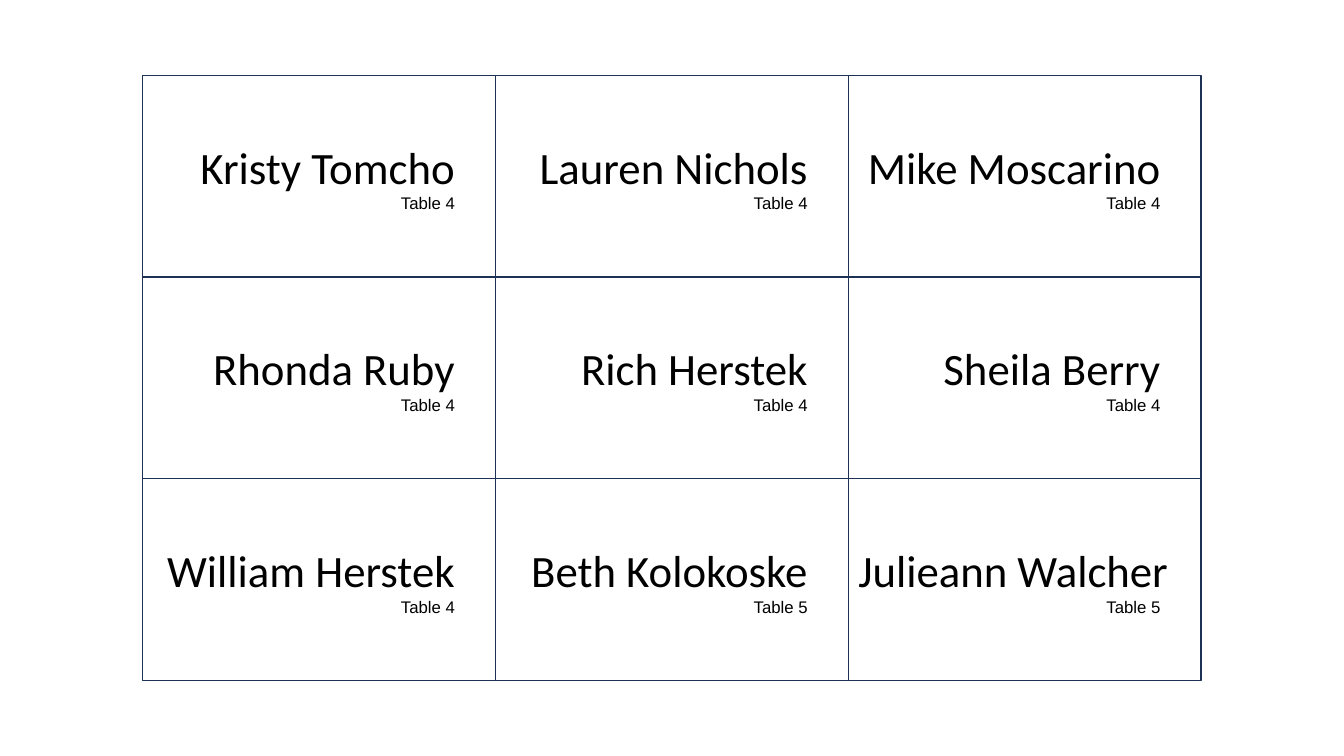
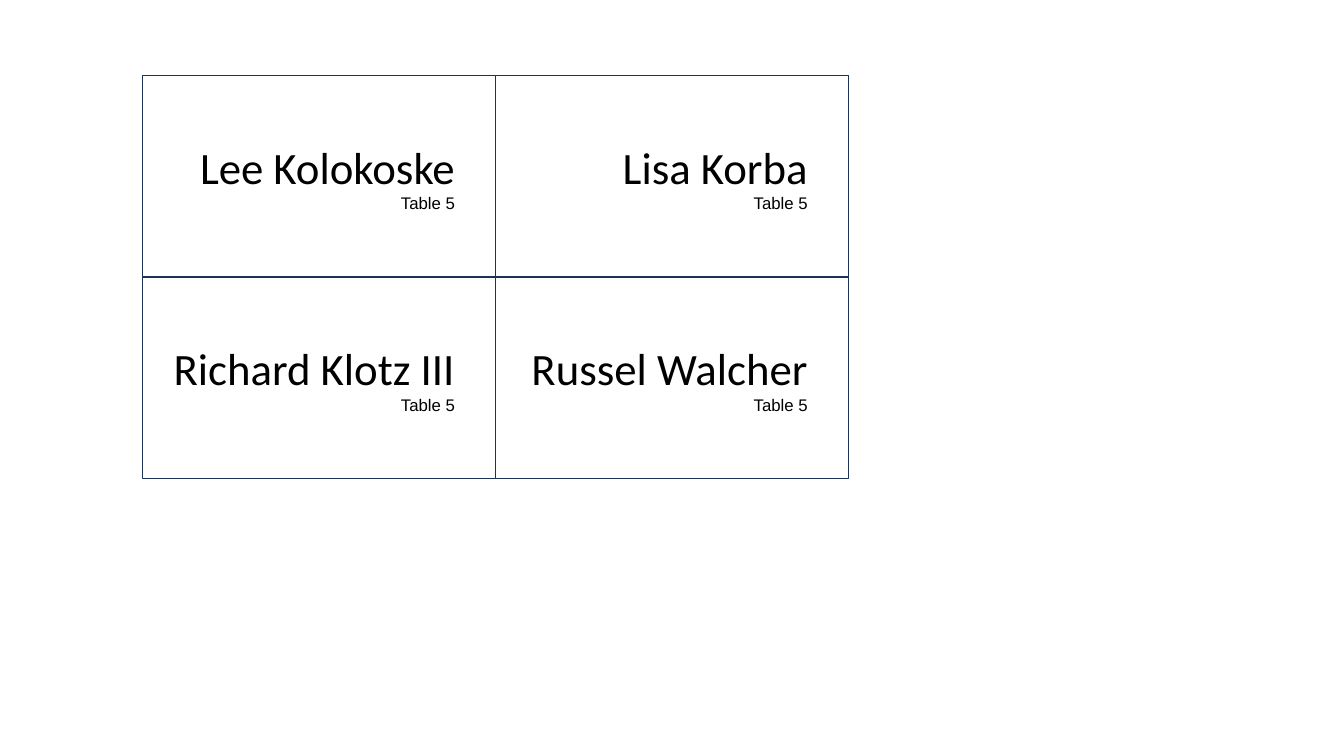
"""Build two slides of table place cards laid out on a regular grid."""
import dataclasses

import pptx
import pptx.dml.color
import pptx.enum.shapes
import pptx.enum.text
import pptx.oxml.ns
import pptx.util
from lxml import etree

EMU_PER_PX = 9525
SLIDE_WIDTH, SLIDE_HEIGHT = 1280, 720
GRID_LEFT, GRID_TOP = 136, 72
CARD_WIDTH, CARD_HEIGHT = 336, 192
TAB_POSITION = 288

SEATING = [
    [
        [("Kristy Tomcho", 4), ("Lauren Nichols", 4), ("Mike Moscarino", 4)],
        [("Rhonda Ruby", 4), ("Rich Herstek", 4), ("Sheila Berry", 4)],
        [("William Herstek", 4), ("Beth Kolokoske", 5), ("Julieann Walcher", 5)],
    ],
    [
        [("Lee Kolokoske", 5), ("Lisa Korba", 5)],
        [("Richard Klotz III", 5), ("Russel Walcher", 5)],
    ],
]


@dataclasses.dataclass(frozen=True)
class Theme:
    paper: str = "FFFFFF"
    border: str = "1E3256"
    ink: str = "000000"
    border_width: int = 1
    name_font: str = "Calibri"
    name_size: int = 32
    table_font: str = "Arial"
    table_size: int = 12


THEME = Theme()


def px(length):
    return pptx.util.Emu(length * EMU_PER_PX)


def rgb(value):
    return pptx.dml.color.RGBColor.from_string(value)


def set_right_tab(paragraph, position):
    qn = pptx.oxml.ns.qn
    properties = paragraph._p.get_or_add_pPr()
    tabs = etree.SubElement(properties, qn("a:tabLst"))
    etree.SubElement(tabs, qn("a:tab"), pos=str(px(position)), algn="r")


def write_line(paragraph, text, font, size):
    paragraph.alignment = pptx.enum.text.PP_ALIGN.LEFT
    set_right_tab(paragraph, TAB_POSITION)
    run = paragraph.add_run()
    run.text = "\t" + text
    run.font.name = font
    run.font.size = pptx.util.Pt(size)
    run.font.color.rgb = rgb(THEME.ink)


def add_card(slide, row, column, guest, table_number):
    card = slide.shapes.add_shape(
        pptx.enum.shapes.MSO_SHAPE.RECTANGLE,
        px(GRID_LEFT + column * CARD_WIDTH),
        px(GRID_TOP + row * CARD_HEIGHT),
        px(CARD_WIDTH),
        px(CARD_HEIGHT),
    )
    card.shadow.inherit = False
    card.fill.solid()
    card.fill.fore_color.rgb = rgb(THEME.paper)
    card.line.color.rgb = rgb(THEME.border)
    card.line.width = pptx.util.Pt(THEME.border_width)
    frame = card.text_frame
    frame.word_wrap = True
    frame.vertical_anchor = pptx.enum.text.MSO_ANCHOR.MIDDLE
    write_line(frame.paragraphs[0], guest, THEME.name_font, THEME.name_size)
    write_line(frame.add_paragraph(), f"Table {table_number}",
               THEME.table_font, THEME.table_size)


def add_card_slide(deck, rows):
    blank_layout = deck.slide_layouts[6]
    slide = deck.slides.add_slide(blank_layout)
    for row, guests in enumerate(rows):
        for column, (guest, table_number) in enumerate(guests):
            add_card(slide, row, column, guest, table_number)


def main():
    deck = pptx.Presentation()
    deck.slide_width = px(SLIDE_WIDTH)
    deck.slide_height = px(SLIDE_HEIGHT)
    for rows in SEATING:
        add_card_slide(deck, rows)
    deck.save("out.pptx")


if __name__ == "__main__":
    main()
